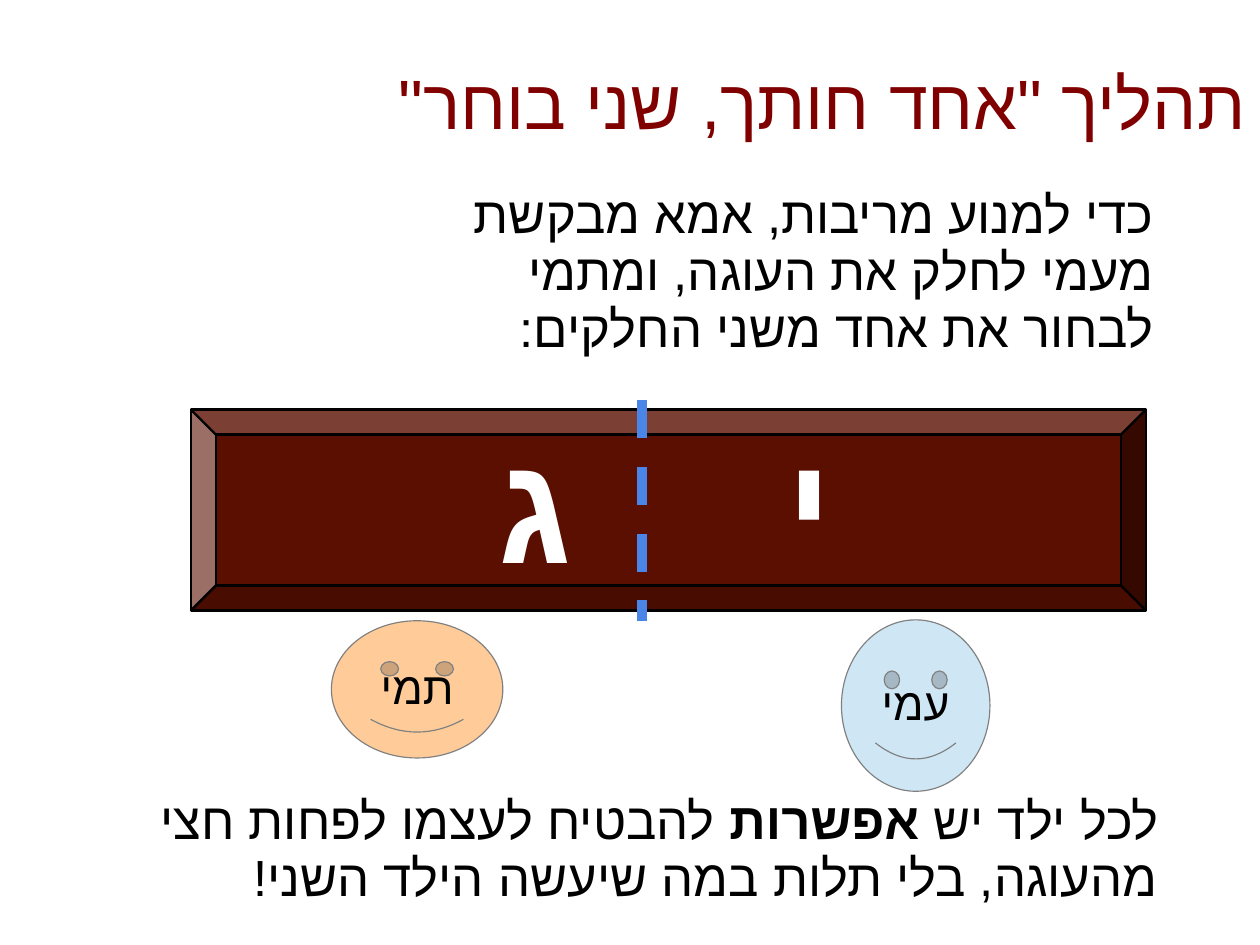
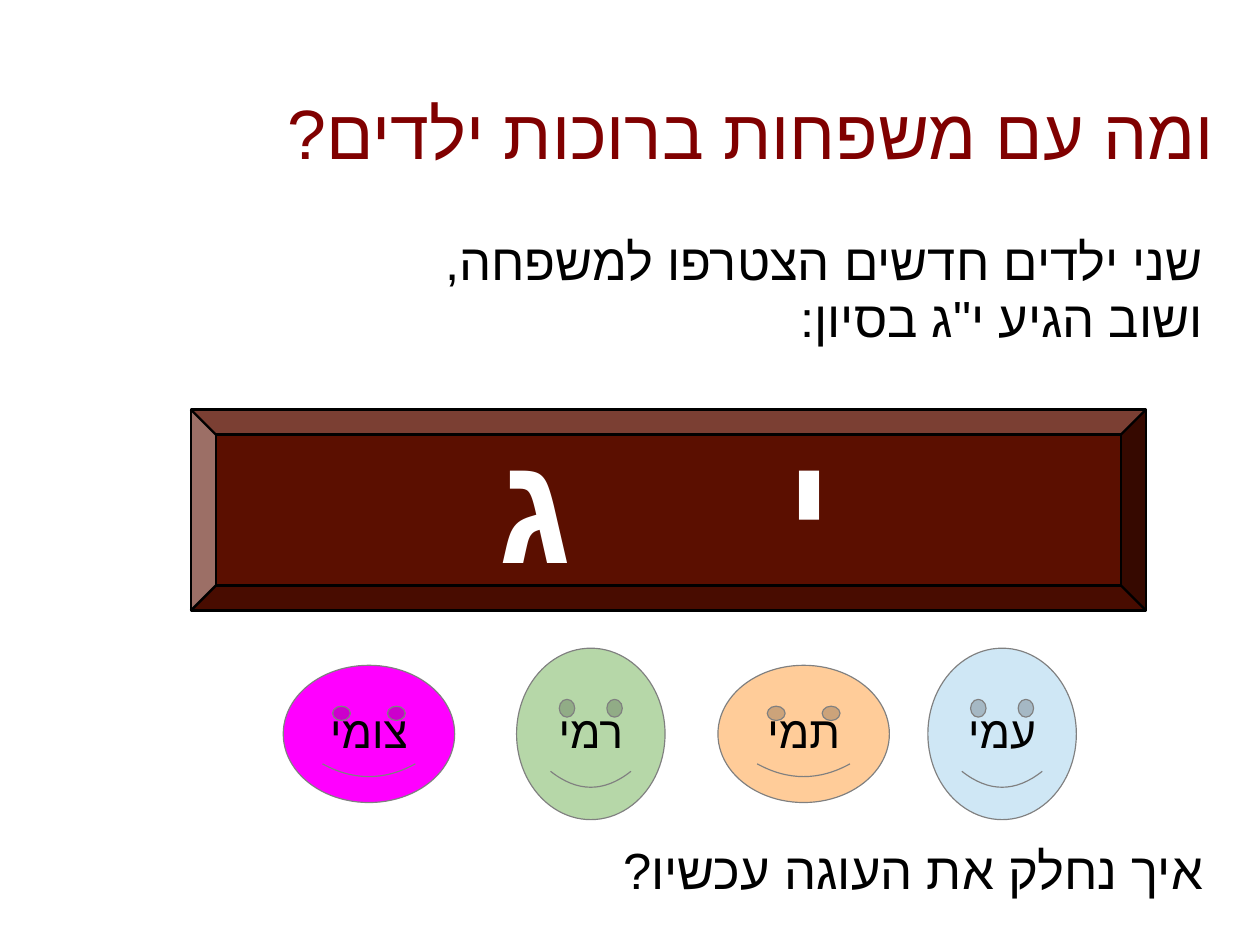
"""Build two Hebrew slides about dividing a cake fairly between children."""
import dataclasses

import lxml.etree
import pptx
import pptx.dml.color
import pptx.enum.dml
import pptx.enum.lang
import pptx.enum.shapes
import pptx.enum.text
import pptx.oxml.ns
import pptx.util

Cm = pptx.util.Cm
Pt = pptx.util.Pt
Align = pptx.enum.text.PP_ALIGN
Anchor = pptx.enum.text.MSO_ANCHOR
Preset = pptx.enum.shapes.MSO_SHAPE


@dataclasses.dataclass(frozen=True)
class Theme:
    font: str = "Arial"
    title: str = "800000"
    ink: str = "000000"
    white: str = "FFFFFF"
    cake: str = "5B0F00"
    cut: str = "4A86E8"
    outline: str = "808080"
    blue: str = "CFE7F5"
    orange: str = "FFCC99"
    green: str = "B6D7A8"
    magenta: str = "FF00FF"
    title_size: int = 44
    body_size: int = 32
    name_size: int = 28
    letter_size: int = 96
    spacing: float = 0.93


theme = Theme()


def rgb(value):
    return pptx.dml.color.RGBColor.from_string(value)


def write(frame, lines, size, color=theme.ink, align=Align.RIGHT, bold=False, spacing=theme.spacing):
    """Write right-to-left lines; every second span of a line is bold."""
    frame.word_wrap = True
    frame.auto_size = pptx.enum.text.MSO_AUTO_SIZE.NONE
    for number, spans in enumerate(lines):
        para = frame.add_paragraph() if number else frame.paragraphs[0]
        para.text = spans[0]
        for words in spans[1:]:
            para.add_run().text = words
        para.alignment = align
        para.line_spacing = spacing
        para._p.get_or_add_pPr().set("rtl", "1")
        for index, span in enumerate(para.runs):
            span.font.size = Pt(size)
            span.font.bold = bold or index % 2 == 1
            span.font.name = theme.font
            span.font.color.rgb = rgb(color)
            span.font.language_id = pptx.enum.lang.MSO_LANGUAGE_ID.HEBREW
            script_font = lxml.etree.SubElement(span._r.get_or_add_rPr(), pptx.oxml.ns.qn("a:cs"))
            script_font.set("typeface", theme.font)


round_face = (3.3, 3.81)
wide_face = (3.81, 3.05)
letters = [("י", 18), ("ג", 11.88)]
cake_left, cake_top, cake_width, cake_height = 4.24, 9.1, 21.23, 4.47
cut_left, cut_top, cut_bottom = 14.27, 8.89, 13.79

pages = [
    {
        "title": ("תהליך \"אחד חותך, שני בוחר\"", (5.92, 0.56, 21.79, 3.5)),
        "texts": [
            ((9.65, 4.06, 16.26, 4),
             [("כדי למנוע מריבות, אמא מבקשת מעמי לחלק את העוגה, ומתמי לבחור את אחד משני החלקים:",)]),
            ((2.41, 17.53, 23.6, 3.4),
             [("לכל ילד יש ", "אפשרות ", "להבטיח לעצמו לפחות חצי מהעוגה, בלי תלות במה שיעשה הילד השני!")]),
        ],
        "faces": [
            ("עמי", round_face, theme.blue, 20.35, 15.68),
            ("תמי", wide_face, theme.orange, 9.27, 15.32),
        ],
        "cut": True,
    },
    {
        "title": ("ומה עם משפחות ברוכות ילדים?", (4.62, 1.22, 22.38, 3.5)),
        "texts": [
            ((2.7, 5.1, 24.3, 2.67),
             [("שני ילדים חדשים הצטרפו למשפחה,",), ("ושוב הגיע י\"ג בסיון:",)]),
            ((2.7, 18.64, 24.3, 1.78), [("איך נחלק את העוגה עכשיו?",)]),
        ],
        "faces": [
            ("עמי", round_face, theme.blue, 22.27, 16.31),
            ("תמי", wide_face, theme.orange, 17.86, 16.31),
            ("רמי", round_face, theme.green, 13.13, 16.31),
            ("צומי", wide_face, theme.magenta, 8.2, 16.31),
        ],
        "cut": False,
    },
]

deck = pptx.Presentation()
deck.slide_width = Cm(28)
deck.slide_height = Cm(21)

for content in pages:
    page = deck.slides.add_slide(deck.slide_layouts[5])

    words, place = content["title"]
    title = page.shapes.title
    title.left, title.top, title.width, title.height = map(Cm, place)
    frame = title.text_frame
    frame.margin_left = frame.margin_right = frame.margin_bottom = 0
    frame.margin_top = Cm(0.1)
    frame.vertical_anchor = Anchor.MIDDLE
    write(frame, [(words,)], theme.title_size, theme.title)

    for place, lines in content["texts"]:
        box = page.shapes.add_textbox(*map(Cm, place))
        write(box.text_frame, lines, theme.body_size)

    cake = page.shapes.add_shape(
        Preset.BEVEL, Cm(cake_left), Cm(cake_top), Cm(cake_width), Cm(cake_height))
    cake.shadow.inherit = False
    cake.fill.solid()
    cake.fill.fore_color.rgb = rgb(theme.cake)
    cake.line.color.rgb = rgb(theme.ink)
    cake.line.width = Pt(1.5)

    for letter, center in letters:
        box = page.shapes.add_textbox(Cm(center - 2), Cm(cut_top), Cm(4), Cm(cut_bottom - cut_top))
        box.text_frame.margin_top = Cm(0.25)
        write(box.text_frame, [(letter,)], theme.letter_size, theme.white, Align.CENTER, True, 1.0)

    for name, (width, height), color, center, middle in content["faces"]:
        face = page.shapes.add_shape(
            Preset.SMILEY_FACE, Cm(center - width / 2), Cm(middle - height / 2), Cm(width), Cm(height))
        face.adjustments[0] = 0.175
        face.shadow.inherit = False
        face.fill.solid()
        face.fill.fore_color.rgb = rgb(color)
        face.line.color.rgb = rgb(theme.outline)
        face.line.width = Pt(0.75)
        face.text_frame.vertical_anchor = Anchor.MIDDLE
        write(face.text_frame, [(name,)], theme.name_size, align=Align.CENTER)

    if content["cut"]:
        cut = page.shapes.add_connector(
            pptx.enum.shapes.MSO_CONNECTOR.STRAIGHT,
            Cm(cut_left), Cm(cut_top), Cm(cut_left), Cm(cut_bottom))
        cut.line.color.rgb = rgb(theme.cut)
        cut.line.width = Pt(6)
        cut.line.dash_style = pptx.enum.dml.MSO_LINE.DASH
        lxml.etree.SubElement(cut._element.spPr, pptx.oxml.ns.qn("a:effectLst"))

deck.save("out.pptx")
